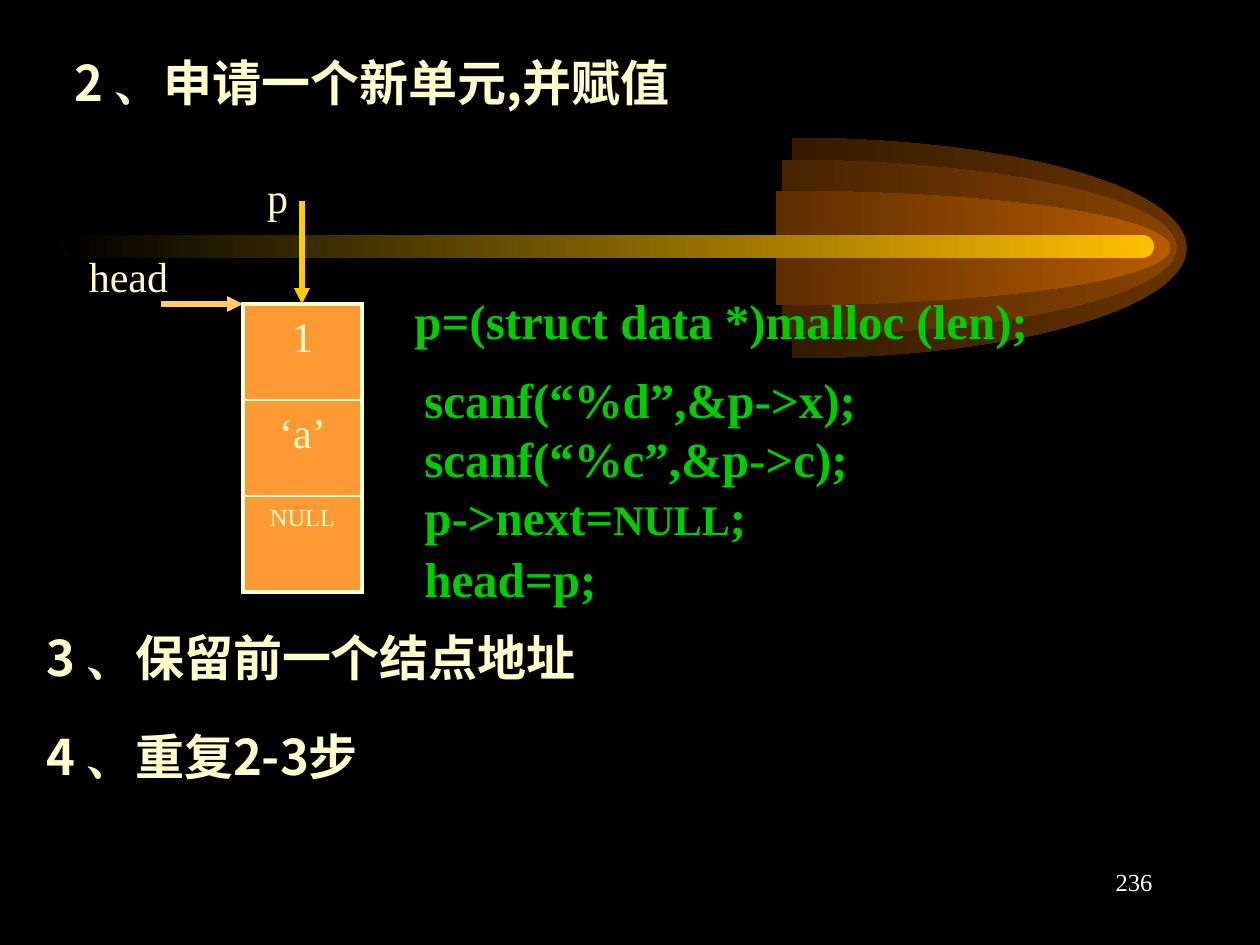
from dataclasses import dataclass

from lxml.etree import SubElement
from pptx import Presentation
from pptx.dml.color import RGBColor
from pptx.enum.shapes import MSO_CONNECTOR, MSO_SHAPE
from pptx.enum.text import MSO_ANCHOR, MSO_AUTO_SIZE, PP_ALIGN
from pptx.oxml.ns import qn
from pptx.util import Emu, Pt

SCALE = 914400 / 126


@dataclass(frozen=True)
class Theme:
    """Colours, fonts and type sizes of the slide."""
    back: str = "000000"
    cream: str = "FFFFCC"
    code: str = "00CC00"
    cell: str = "FF9933"
    head: str = "FFCC66"
    gold: str = "FFCC00"
    bar: str = "FFBF00"
    flares: tuple = ("663300", "894400", "B75B00")
    white: str = "FFFFFF"
    serif: str = "Times New Roman"
    hans: str = "Noto Sans CJK SC"
    big: int = 28
    mid: int = 24
    small: int = 14


T = Theme()
LABEL = dict(size=T.mid, name=T.serif, color=T.cream, bold=False)
TITLE = dict(size=T.big, name=T.hans, color=T.cream, bold=True)
CODE = dict(size=T.big, name=T.serif, color=T.code, bold=True)
TINY = LABEL | dict(size=T.small)


def px(n):
    """Turn pixels into EMU."""
    return Emu(round(n * SCALE))


def apply(obj, vals):
    """Set each named value on an object."""
    for key, val in vals.items():
        setattr(obj, key, val)


def style(run, fmt):
    """Give a run its size, weight, face and colour."""
    font = run.font
    apply(font, dict(size=Pt(fmt["size"]), bold=fmt["bold"], name=fmt["name"]))
    font.color.rgb = RGBColor.from_string(fmt["color"])
    SubElement(font._element, qn("a:ea"), typeface=fmt["name"])


def write(shape, lines, fmt, align=PP_ALIGN.LEFT, grow=True):
    """Fill a shape with lines, each a list of text and changes."""
    frame = shape.text_frame
    size = MSO_AUTO_SIZE.SHAPE_TO_FIT_TEXT if grow else MSO_AUTO_SIZE.NONE
    apply(frame, dict(word_wrap=True, auto_size=size,
                      vertical_anchor=MSO_ANCHOR.TOP))
    for i, line in enumerate(lines):
        para = frame.add_paragraph() if i else frame.paragraphs[0]
        para.alignment = align
        for text, diff in line:
            run = para.add_run()
            run.text = text
            style(run, fmt | diff)


def label(slide, box, lines, fmt, **opts):
    """Add a text box."""
    write(slide.shapes.add_textbox(*map(px, box)), lines, fmt, **opts)


def step(slide, box, num, text, **opts):
    """Add a numbered step heading."""
    line = [(num + " ", {}), ("、", dict(name=T.serif)), (text, {})]
    label(slide, box, [line], TITLE, **opts)


def block(slide, kind, box):
    """Add a preset shape without line or shadow."""
    shape = slide.shapes.add_shape(kind, *map(px, box))
    shape.line.fill.background()
    shape.shadow.inherit = False
    return shape


def glow(slide, kind, box, bends, tint):
    """Add a shape that fades from its right end into the dark."""
    shape = block(slide, kind, box)
    for i, bend in enumerate(bends):
        shape.adjustments[i] = bend
    shape.fill.gradient()
    shape.fill.gradient_angle = 180
    for stop, hue, pos in zip(shape.fill.gradient_stops, (tint, T.back), (0, 1)):
        stop.color.rgb = RGBColor.from_string(hue)
        stop.position = pos


def rule(slide, ends, tint, width, arrow=False):
    """Draw a straight line, with an arrowhead if asked."""
    line = slide.shapes.add_connector(MSO_CONNECTOR.STRAIGHT, *map(px, ends))
    line.line.color.rgb = RGBColor.from_string(tint)
    line.line.width = Pt(width)
    pen = line.line._get_or_add_ln()
    pen.set("cap", "sq")
    if arrow:
        SubElement(pen, qn("a:tailEnd"), type="triangle")
    SubElement(line._element.spPr, qn("a:effectLst"))


def comet(slide):
    """Draw the comet behind the content."""
    boxes = (398, 138, 789, 220), (388, 160, 789, 175), (382, 191, 789, 114)
    for box, tint in zip(boxes, T.flares):
        glow(slide, MSO_SHAPE.ARC, box, (162, 54), tint)
    glow(slide, MSO_SHAPE.ROUNDED_RECTANGLE, (63, 235, 1091, 23), (0.5,), T.bar)


def node(slide, left, top, wide, high, cells):
    """Draw a list node of stacked cells and its rules."""
    right, end = left + wide, top + high * len(cells)
    for i, (text, fmt) in reversed(list(enumerate(cells))):
        box = left, top + i * high, wide, high
        cell = block(slide, MSO_SHAPE.RECTANGLE, box)
        cell.fill.solid()
        cell.fill.fore_color.rgb = RGBColor.from_string(T.cell)
        write(cell, [[(text, {})]], fmt, align=PP_ALIGN.CENTER, grow=False)
    for i in range(len(cells) + 1):
        y = top + i * high
        rule(slide, (left, y, right, y), T.cream, 2.25 if y in (top, end) else 1)
    for x in (left, right):
        rule(slide, (x, top, x, end), T.cream, 2.25)


def main():
    """Build the slide and save it."""
    deck = Presentation()
    apply(deck, dict(slide_width=px(1260), slide_height=px(945)))
    slide = deck.slides.add_slide(deck.slide_layouts[6])
    slide.background.fill.solid()
    slide.background.fill.fore_color.rgb = RGBColor.from_string(T.back)
    comet(slide)

    step(slide, (35, 46, 674, 72), "2", "申请一个新单元,并赋值", align=PP_ALIGN.CENTER)
    for box, lines in (
        ((402, 284, 694, 72), [[("p=(struct data *)malloc (len);", {})]]),
        ((412, 363, 694, 189), [
            [("scanf(“%d”,&p->x);", {})],
            [("scanf(“%c”,&p->c);", {})],
            [("p->next=", {}), ("NULL", dict(size=T.mid)), (";", {})],
        ]),
        ((412, 542, 694, 72), [[("head=p;", {})]]),
    ):
        label(slide, box, lines, CODE)

    for text, box, ends, tint in (
        ("head", (64, 244, 129, 63), (164, 304, 243, 304), T.head),
        ("p", (243, 165, 69, 63), (302, 204, 302, 304), T.gold),
    ):
        rule(slide, ends, tint, 3, arrow=True)
        label(slide, box, [[(text, {})]], LABEL, align=PP_ALIGN.CENTER)
    node(slide, 243, 304, 119, 96, [("1", LABEL), ("‘a’", LABEL), ("NULL", TINY)])

    step(slide, (34, 621, 1082, 72), "3", "保留前一个结点地址")
    step(slide, (34, 720, 1082, 72), "4", "重复2-3步")
    label(slide, (903, 861, 262, 63), [[("236", {})]],
          TINY | dict(color=T.white), align=PP_ALIGN.RIGHT, grow=False)
    deck.save("out.pptx")


if __name__ == "__main__":
    main()
